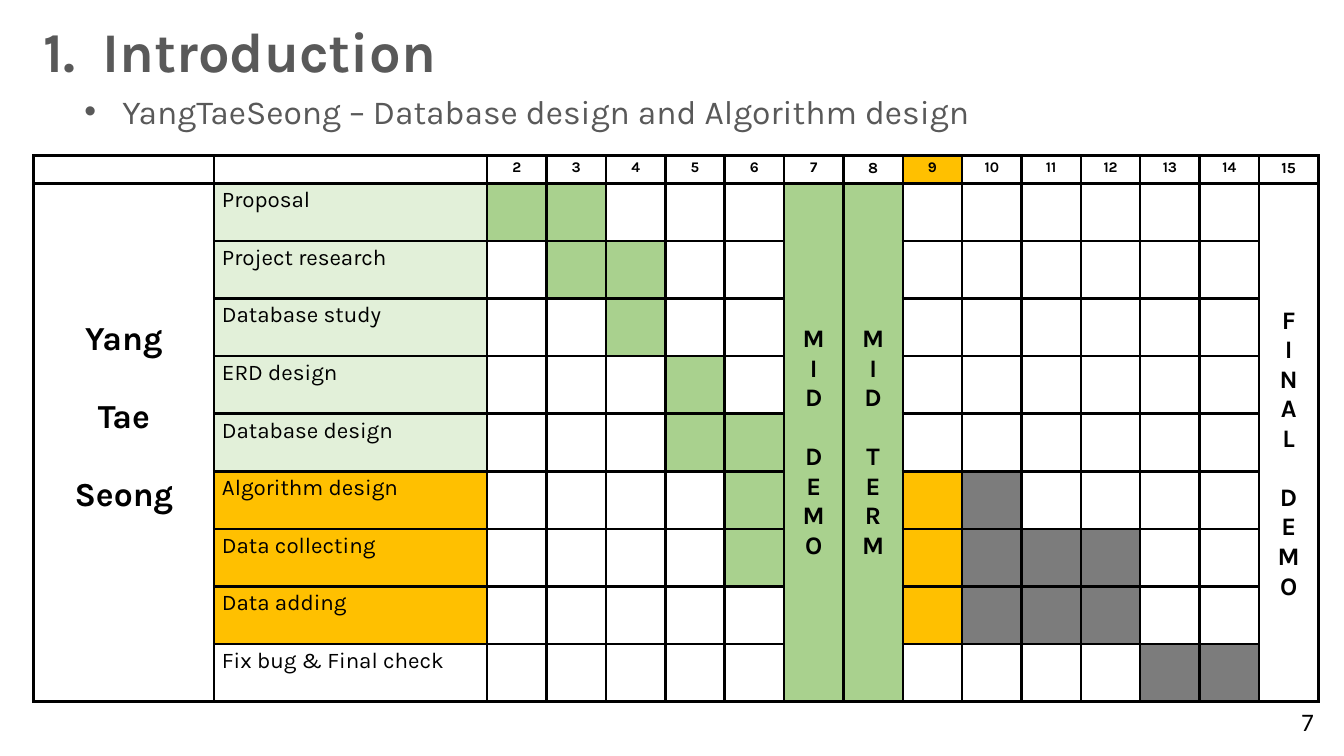
import pptx
import pptx.dml.color
import pptx.enum.text
import pptx.oxml
import pptx.oxml.ns
import pptx.util
from lxml import etree

Pt = pptx.util.Pt
RGBColor = pptx.dml.color.RGBColor
ALIGN = pptx.enum.text.PP_ALIGN
MIDDLE = pptx.enum.text.MSO_ANCHOR.MIDDLE
qn = pptx.oxml.ns.qn

BLACK = RGBColor(0x00, 0x00, 0x00)
WHITE = RGBColor(0xFF, 0xFF, 0xFF)
TEXT_GRAY = RGBColor(0x59, 0x59, 0x59)
PLANNED = RGBColor(0x7C, 0x7C, 0x7C)
DONE = RGBColor(0xA9, 0xD1, 0x8E)
DONE_LABEL = RGBColor(0xE2, 0xF0, 0xD9)
CURRENT = RGBColor(0xFF, 0xC0, 0x00)

FIRST_WEEK, LAST_WEEK, CURRENT_WEEK = 2, 15, 9
WEEK_COL = 2  # column of the first week
HEADER_H, TASK_H = 20, 41.14
NAME_W, TASK_W, WEEK_W = 129, 195, 42.43
THIN, THICK = 1.98, 2.55
THICK_AFTER = (4, 10)  # weeks with a heavier right edge

# task, label colour, weeks done, weeks planned
TASKS = [
    ("Proposal", DONE_LABEL, (2, 3), ()),
    ("Project research", DONE_LABEL, (3, 4), ()),
    ("Database study", DONE_LABEL, (4,), ()),
    ("ERD design", DONE_LABEL, (5,), ()),
    ("Database design", DONE_LABEL, (5, 6), ()),
    ("Algorithm design", CURRENT, (6,), (10,)),
    ("Data collecting", CURRENT, (6,), (10, 11, 12)),
    ("Data adding", CURRENT, (), (10, 11, 12)),
    ("Fix bug & Final check", WHITE, (), (13, 14)),
]

# column, groups of lines, text size, gap before a group, fill, margin top and bottom
MERGED = [
    (0, [["Yang"], ["Tae"], ["Seong"]], 24, 28, WHITE, 4, 40),
    (7, ["MID", "DEMO"], 18, 21, DONE, 4, 4),
    (8, ["MID", "TERM"], 18, 21, DONE, 4, 4),
    (15, ["FINAL", "DEMO"], 18, 21, WHITE, 19, 3),
]


def write(p, text, size=16, bold=False, color=BLACK, font="Karla",
          align=ALIGN.LEFT, before=0):
    p.alignment = align
    if before:
        p.space_before = Pt(before)
    r = p.add_run()
    r.text = text
    r.font.size = Pt(size)
    r.font.bold = bold
    r.font.name = font
    r.font.color.rgb = color


def add_text_box(left, top, width, height, wrap=True):
    tf = s.shapes.add_textbox(Pt(left), Pt(top), Pt(width), Pt(height)).text_frame
    tf.word_wrap = wrap
    return tf.paragraphs[0]


prs = pptx.Presentation()
prs.slide_width, prs.slide_height = Pt(960), Pt(540)
s = prs.slides.add_slide(prs.slide_layouts[6])

# Title and subtitle
p = add_text_box(24, 8.5, 441, 55.5)
tabs = etree.SubElement(p._p.get_or_add_pPr(), qn("a:tabLst"))
etree.SubElement(tabs, qn("a:tab"), pos=str(Pt(42)), algn="l")
write(p, "1.\tIntroduction", size=40, bold=True, color=TEXT_GRAY)

p = add_text_box(53.3, 61.2, 906.7, 36)
pPr = p._p.get_or_add_pPr()
pPr.set("marL", str(Pt(27)))
pPr.set("indent", str(Pt(-27)))
etree.SubElement(pPr, qn("a:buFont"), typeface="Arial")
etree.SubElement(pPr, qn("a:buChar"), char="•")
write(p, "YangTaeSeong – Database design and Algorithm design", size=24, color=TEXT_GRAY)

# Schedule grid
weeks = range(FIRST_WEEK, LAST_WEEK + 1)
col_widths = [NAME_W, TASK_W] + [WEEK_W] * len(weeks)
row_heights = [HEADER_H] + [TASK_H] * len(TASKS)
table = s.shapes.add_table(len(row_heights), len(col_widths), Pt(24), Pt(111),
                           Pt(sum(col_widths)), Pt(sum(row_heights))).table
table.first_row = table.horz_banding = False
for col, width in zip(table.columns, col_widths):
    col.width = Pt(width)
for row, height in zip(table.rows, row_heights):
    row.height = Pt(height)

for row in table.rows:
    for c, cell in enumerate(row.cells):
        week = c - WEEK_COL + FIRST_WEEK
        left = THICK if week - 1 in THICK_AFTER else THIN
        right = THICK if week in THICK_AFTER else THIN
        tcPr = cell._tc.get_or_add_tcPr()
        for side, width in (("L", left), ("R", right), ("T", THIN), ("B", THIN)):
            ln = etree.SubElement(tcPr, qn("a:ln" + side), w=str(Pt(width)))
            fill = etree.SubElement(ln, qn("a:solidFill"))
            etree.SubElement(fill, qn("a:srgbClr"), val=str(BLACK))
        cell.fill.solid()
        cell.fill.fore_color.rgb = WHITE
        cell.margin_left = cell.margin_right = Pt(5.6)
        cell.margin_top = cell.margin_bottom = Pt(2.8)
        cell.text_frame.paragraphs[0]._p.get_or_add_endParaRPr().set("sz", "1050")

for c, week in enumerate(weeks, WEEK_COL):
    cell = table.cell(0, c)
    write(cell.text_frame.paragraphs[0], str(week), size=11 if week in (8, 15) else 10.5,
          bold=True, align=ALIGN.CENTER)
    if week == CURRENT_WEEK:
        cell.fill.fore_color.rgb = CURRENT

for r, (task, label_color, done, planned) in enumerate(TASKS, 1):
    label = table.cell(r, 1)
    label.fill.fore_color.rgb = label_color
    write(label.text_frame.paragraphs[0], task)
    current = (CURRENT_WEEK,) if label_color == CURRENT else ()
    for color, marked in ((DONE, done), (CURRENT, current), (PLANNED, planned)):
        for week in marked:
            table.cell(r, week - FIRST_WEEK + WEEK_COL).fill.fore_color.rgb = color

# Member name and milestone columns
for c, groups, size, gap, color, top, bottom in MERGED:
    cell = table.cell(1, c)
    cell.merge(table.cell(len(TASKS), c))
    cell.fill.fore_color.rgb = color
    cell.vertical_anchor = MIDDLE
    cell.margin_top, cell.margin_bottom = Pt(top), Pt(bottom)
    tf = cell.text_frame
    for g, group in enumerate(groups):
        for i, line in enumerate(group):
            first = g == 0 and i == 0
            p = tf.paragraphs[0] if first else tf.add_paragraph()
            write(p, line, size=size, bold=True, align=ALIGN.CENTER,
                  before=gap if g and i == 0 else 0)

# Page number
write(add_text_box(922.3, 501, 23.8, 29, wrap=False), "7", size=18, font="Calibri")

prs.save("out.pptx")
